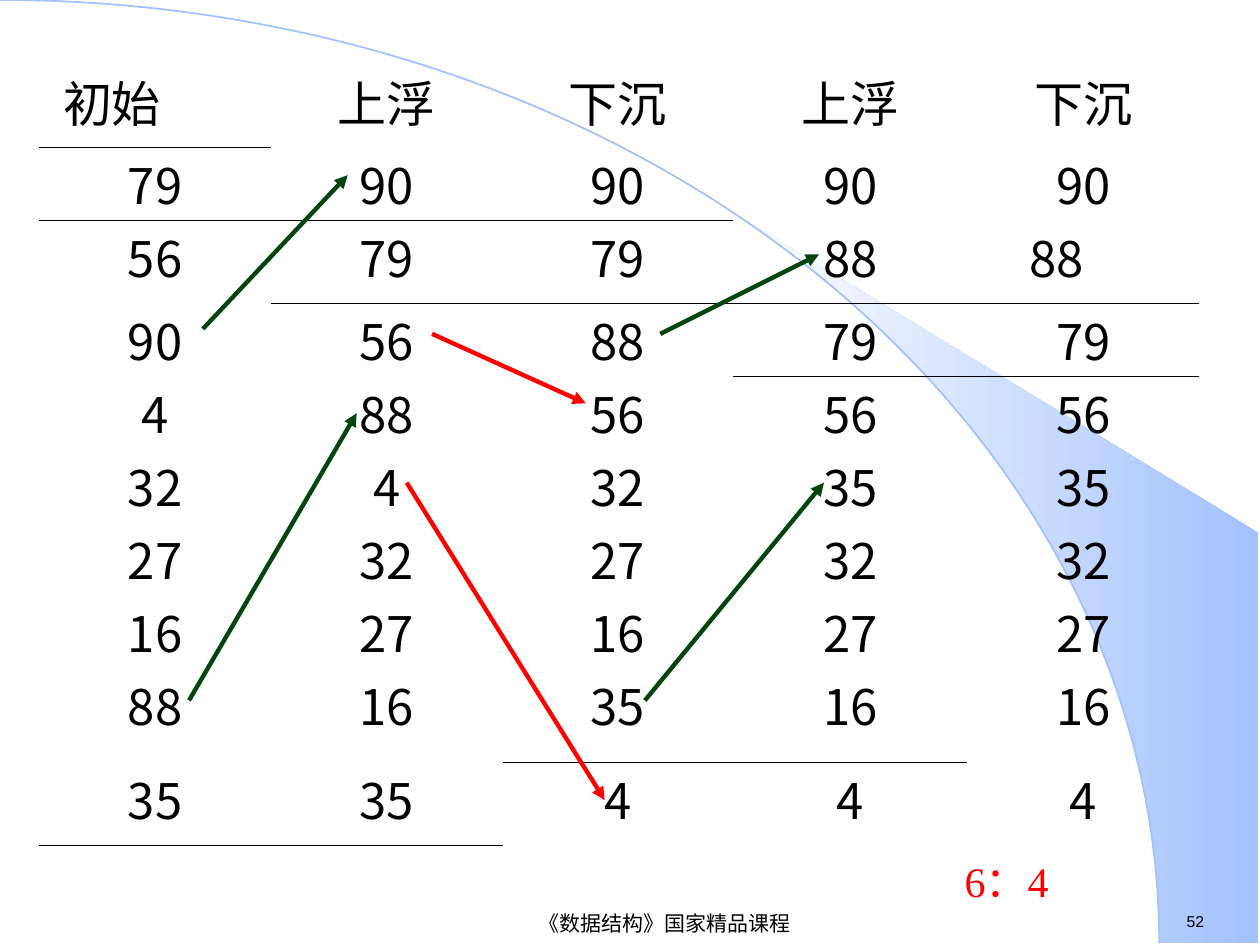
from dataclasses import dataclass
from math import asin, cos, pi, sin

from lxml.etree import SubElement as Sub
from pptx import Presentation
from pptx.dml.color import RGBColor
from pptx.enum.shapes import MSO_CONNECTOR as Link, MSO_SHAPE as Preset
from pptx.enum.text import MSO_ANCHOR as Anchor, PP_ALIGN as Align
from pptx.oxml import parse_xml
from pptx.oxml.ns import nsdecls, qn
from pptx.util import Cm, Pt

BLACK = RGBColor(0x00, 0x00, 0x00)
RED = RGBColor(0xFF, 0x00, 0x00)
GREEN = RGBColor(0x04, 0x44, 0x0F)
BLUE = RGBColor(0xA2, 0xC1, 0xFE)
PALE = RGBColor(0xFE, 0xFE, 0xFE)
SANS = "Noto Sans CJK SC"
PLAIN = "{2D5ABB26-0587-4C30-8999-92F81FD0307C}"  # table style without grid

# Radii of the curve, in cm
RX, RY = 23.37, 19.02


@dataclass
class Arrow:
    x1: float
    y1: float
    x2: float
    y2: float
    color: RGBColor


@dataclass
class Label:
    text: str
    box: tuple[float, float, float, float]
    font: str
    size: int
    color: RGBColor
    align: Align = Align.CENTER
    anchor: Anchor = Anchor.TOP


ARROWS = [
    Arrow(4.09, 6.63, 7.01, 3.53, GREEN),
    Arrow(3.81, 14.12, 7.19, 8.33, GREEN),
    Arrow(8.71, 6.73, 11.81, 8.13, RED),
    Arrow(8.2, 9.73, 12.19, 16.13, RED),
    Arrow(13, 14.12, 16.61, 9.73, GREEN),
    Arrow(13.31, 6.73, 16.51, 5.13, GREEN),
]

NOTES = [
    Label("52", (23.67, 18.26, 1.96, 0.64), "Arial", 9, BLACK, Align.LEFT),
    Label("《数据结构》国家精品课程", (6.1, 18.31, 14.6, 0.61), "Arial", 12,
          BLACK, anchor=Anchor.MIDDLE),
]
SCORE = Label("6：4", (17.4, 17.12, 5.79, 1.27), "Times New Roman", 24, RED)

# One column for each sorting step
STEPS = [
    ("初始", 79, 56, 90, 4, 32, 27, 16, 88, 35),
    ("上浮", 90, 79, 56, 88, 4, 32, 27, 16, 35),
    ("下沉", 90, 79, 88, 56, 32, 27, 16, 35, 4),
    ("上浮", 90, 88, 79, 56, 35, 32, 27, 16, 4),
    ("下沉", 90, 88, 79, 56, 35, 32, 27, 16, 4),
]
WIDTHS = [4.67, 4.67, 4.65, 4.72, 4.67]
HEIGHTS = [1.65, 1.47, 1.68] + [1.47] * 5 + [1.9, 1.68]
# Row -> columns with a rule below
RULES = {0: (0,), 1: (1, 2), 2: (3, 4), 8: (2, 3), 9: (0, 1)}


def draw_curve(shapes) -> None:
    # Shaded wedge outside the curve
    start, count = asin(14.96 / RX), 24
    turns = [start + (pi / 2 - start) * i / count for i in range(count + 1)]
    rim = [(Cm(RX * sin(t)), Cm(RY * (1 - cos(t)))) for t in turns]
    pen = shapes.build_freeform(*rim[0])
    pen.add_line_segments(rim[1:] + [(Cm(25.37), Cm(RY)),
                                     (Cm(25.37), Cm(10.74))])
    wedge = pen.convert_to_shape()
    wedge.shadow.inherit = False
    wedge.line.fill.background()
    wedge.fill.gradient()
    wedge.fill.gradient_angle = 180
    for stop, color in zip(wedge.fill.gradient_stops, (BLUE, PALE)):
        stop.color.rgb = color
    # Quarter arc
    arc = shapes.add_shape(Preset.ARC, Cm(-RX), 0, Cm(2 * RX), Cm(2 * RY))
    arc.shadow.inherit = False
    arc.fill.background()
    arc.line.color.rgb = BLUE
    arc.line.width = Pt(1)


def draw_label(shapes, label: Label) -> None:
    frame = shapes.add_textbox(*map(Cm, label.box)).text_frame
    frame.word_wrap = True
    frame.vertical_anchor = label.anchor
    para = frame.paragraphs[0]
    para.text = label.text
    para.alignment = label.align
    para.font.name = label.font
    para.font.size = Pt(label.size)
    para.font.color.rgb = label.color


def add_rule(cell, side: str) -> None:
    props = cell._tc.get_or_add_tcPr()
    props.insert(0, parse_xml(
        f'<a:{side} {nsdecls("a")} w="5715"><a:solidFill>'
        f'<a:srgbClr val="{BLACK}"/></a:solidFill></a:{side}>'))


def fill_cell(cell, text: str) -> None:
    cell.fill.background()
    para = cell.text_frame.paragraphs[0]
    para.text = text
    para.alignment = Align.CENTER
    para.line_spacing = 0.9
    font = para.font
    font.name, font.size = SANS, Pt(28)
    font.color.rgb = BLACK
    props = para.runs[0].font._element
    Sub(props, qn("a:ea")).set("typeface", SANS)


def draw_table(shapes) -> None:
    frame = shapes.add_table(len(HEIGHTS), len(WIDTHS), Cm(0.79), Cm(1.32),
                             Cm(sum(WIDTHS)), Cm(sum(HEIGHTS)))
    table = frame.table
    table.first_row = table.horz_banding = False
    table._tbl.tblPr.find(qn("a:tableStyleId")).text = PLAIN
    for row, high in zip(table.rows, HEIGHTS):
        row.height = Cm(high)
    for c, (step, wide) in enumerate(zip(STEPS, WIDTHS)):
        table.columns[c].width = Cm(wide)
        for r, value in enumerate(step):
            fill_cell(table.cell(r, c), str(value))
    # Two cells sit off centre
    first = table.cell(0, 0)
    first.margin_left = Cm(0.48)
    first.text_frame.paragraphs[0].alignment = Align.LEFT
    table.cell(2, 4).margin_right = Cm(1.34)
    # Rules around the unsorted part
    for r, cols in RULES.items():
        for c in cols:
            add_rule(table.cell(r, c), "lnB")
            if r + 1 < len(HEIGHTS):
                add_rule(table.cell(r + 1, c), "lnT")


def draw_arrow(shapes, arrow: Arrow) -> None:
    ends = map(Cm, (arrow.x1, arrow.y1, arrow.x2, arrow.y2))
    link = shapes.add_connector(Link.STRAIGHT, *ends)
    link.line.color.rgb = arrow.color
    link.line.width = Pt(2.5)
    Sub(link.line._get_or_add_ln(), qn("a:tailEnd")).set("type", "triangle")
    Sub(link._element.spPr, qn("a:effectLst"))


def main() -> None:
    deck = Presentation()
    deck.slide_width, deck.slide_height = Cm(25.4), Cm(19.05)
    shapes = deck.slides.add_slide(deck.slide_layouts[6]).shapes
    # Backdrop and footer
    draw_curve(shapes)
    for note in NOTES:
        draw_label(shapes, note)
    # Sorting steps
    draw_table(shapes)
    for arrow in ARROWS:
        draw_arrow(shapes, arrow)
    draw_label(shapes, SCORE)
    deck.save("out.pptx")


if __name__ == "__main__":
    main()
